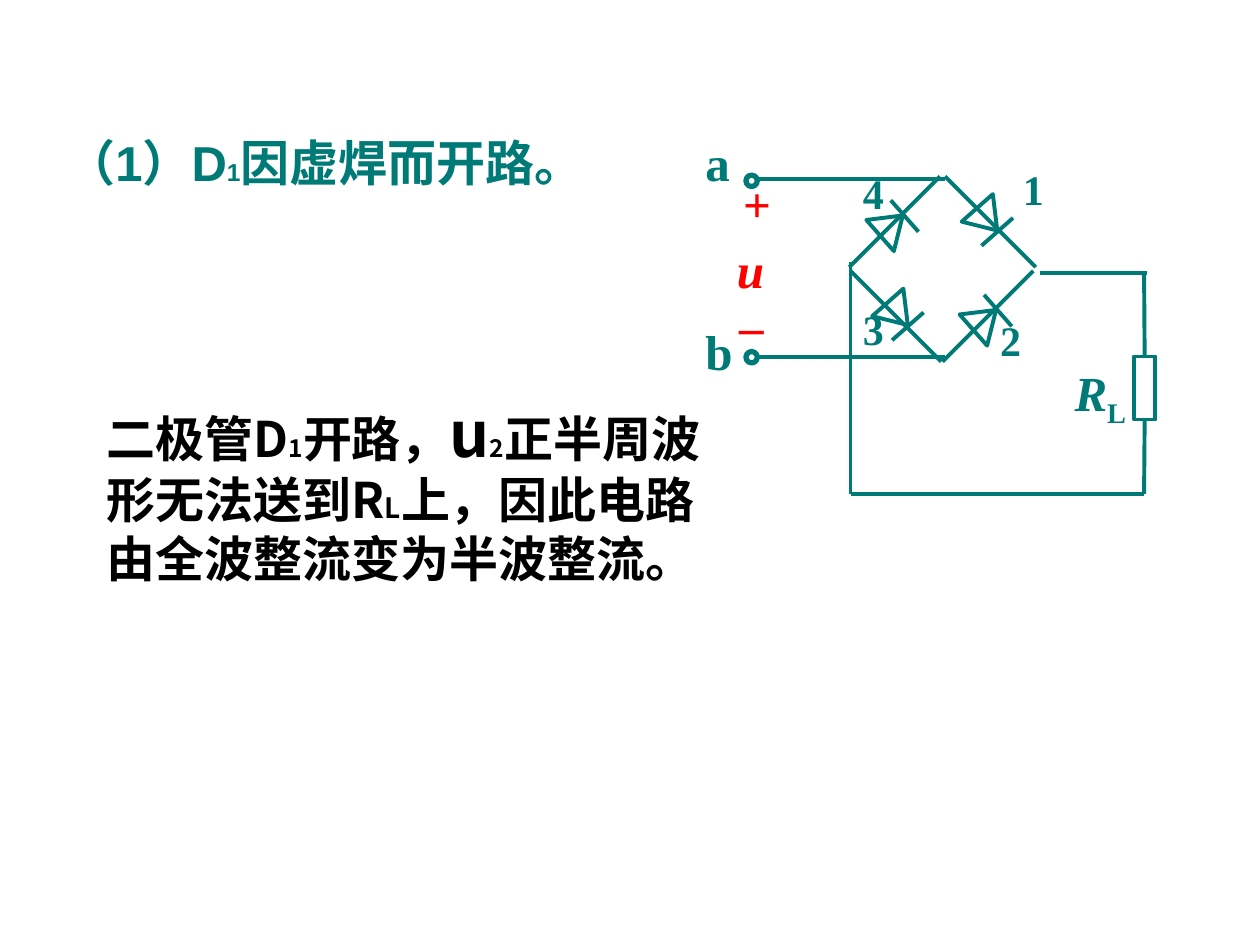
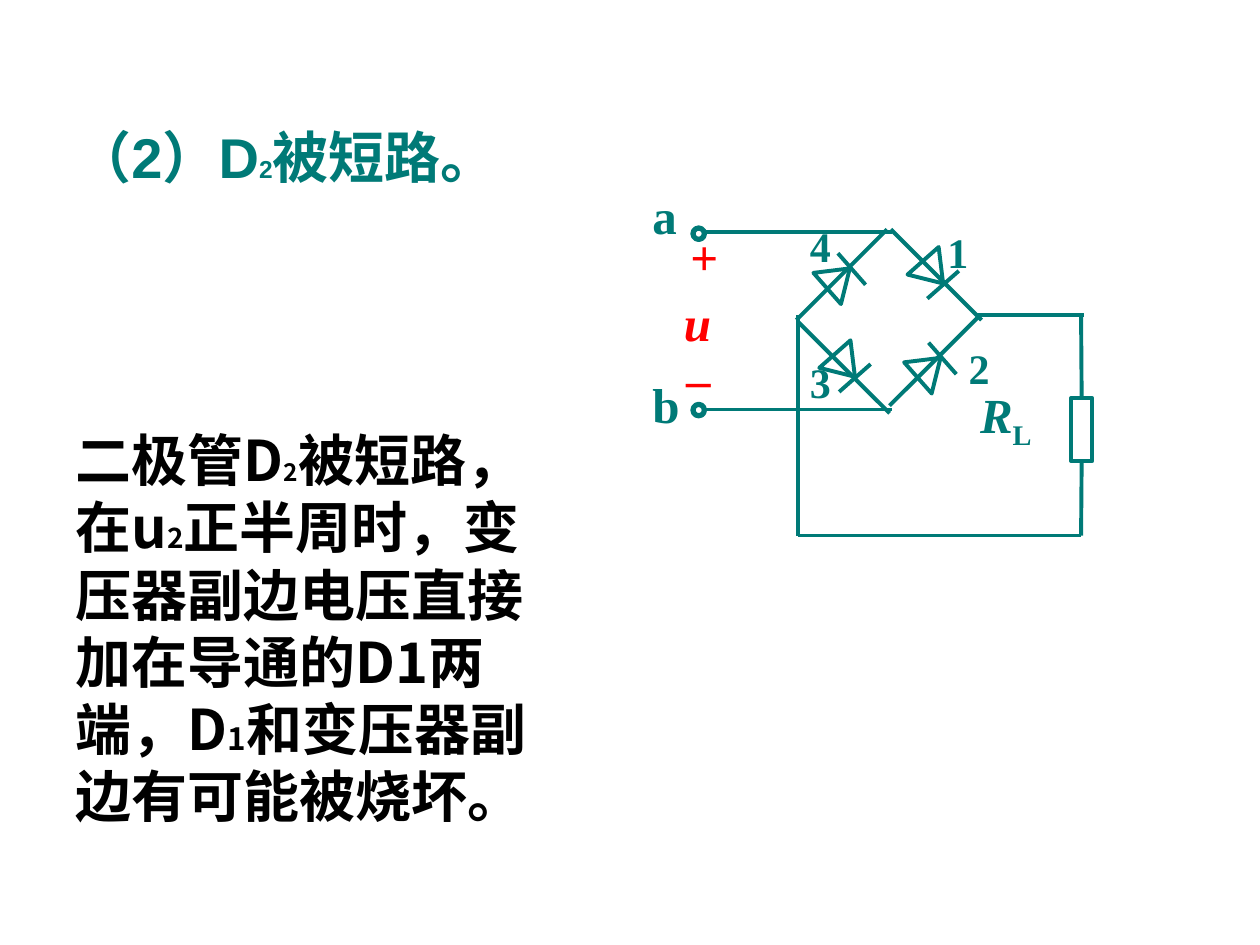
import pptx
import pptx.dml.color
import pptx.enum.shapes
import pptx.enum.text
import pptx.oxml.ns
import pptx.util
from lxml import etree

Inches = pptx.util.Inches
Pt = pptx.util.Pt
SHAPE = pptx.enum.shapes.MSO_SHAPE

TEAL = pptx.dml.color.RGBColor(0x00, 0x7A, 0x77)
RED = pptx.dml.color.RGBColor(0xFF, 0x00, 0x00)
BLACK = pptx.dml.color.RGBColor(0x00, 0x00, 0x00)
CJK_FONT = "Noto Sans CJK SC"
TITLE = {"name": "Arial", "color": TEAL}
BODY = {"name": CJK_FONT, "color": BLACK}
LABEL = {"name": "Times New Roman", "color": TEAL}

# Diode parts, measured from the start of the diagonal wire they sit on
DIODES = {
    "falling": {"end": (0.72, 0.72), "bar": ((0.54, 0.33), (0.29, 0.55)),
                "triangle": (0.17, 0.22), "angle": 138.5},
    "rising": {"end": (0.72, -0.72), "bar": ((0.33, -0.53), (0.55, -0.28)),
               "triangle": (0.17, -0.45), "angle": 48.5},
}

# Places inside a circuit are measured from its terminal a
CIRCUIT_LABELS = [
    ("a", -0.5, -0.42, 0.39, 28, TEAL, False),
    ("b", -0.5, 1.08, 0.41, 28, TEAL, False),
    ("u", -0.25, 0.43, 0.41, 28, RED, True),
    ("+", -0.2, -0.09, 0.42, 28, RED, False),
    (" –", -0.33, 0.88, 0.49, 28, RED, False),
    ("3", 0.75, 0.94, 0.36, 24, TEAL, False),
    ("4", 0.75, -0.14, 0.36, 24, TEAL, False),
]

SLIDES = [
    {
        "title": ((0.43, 1, 4.62, 0.57), False,
                  [("（1）D", 28), ("1", 14), ("因虚焊而开路。", 28)]),
        "body": ((0.75, 3.08, 5.17, 1.64), True,
                 [("二极管D", 28), ("1", 14), ("开路，", 28), ("u", 36), ("2", 14),
                  ("正半周波形无法送到R", 28), ("L", 16),
                  ("上，因此电路由全波整流变为半波整流。", 28)]),
        "terminal": (6, 1.42),
        "load": (3.08, 0.75),
        "load_label": (2.43, 1.41),
        "diode_labels": [("1", 2.02, -0.17), ("2", 1.84, 1.03)],
        "diodes": [("falling", 1.5, -0.02, 0, 0), ("rising", 1.48, 1.45, 0, 0),
                   ("falling", 0.75, 0.73, 0.04, 0), ("rising", 0.74, 0.7, 0, 0)],
    },
    {
        "title": ((0.5, 0.92, 4, 0.64), True,
                  [("（2）D", 32), ("2", 14), ("被短路。", 32)]),
        "body": ((0.5, 3.33, 4, 3.3), True,
                 [("二极管D", 32), ("2", 14), ("被短路，在u", 32), ("2", 16),
                  ("正半周时，变压器副边电压直接加在导通的D1两端，D", 32), ("1", 18),
                  ("和变压器副边有可能被烧坏。", 32)]),
        "terminal": (5.58, 1.84),
        "load": (3, 0.66),
        "load_label": (2.1, 1.16),
        "diode_labels": [("1", 1.84, -0.09), ("2", 2.01, 0.83)],
        "diodes": [("falling", 1.49, -0.02, 0, 0), ("rising", 1.48, 1.38, -0.02, 0.03),
                   ("falling", 0.76, 0.72, 0.03, 0), ("rising", 0.74, 0.7, 0, 0)],
    },
]


def add_text(slide, box, runs, wrap=False):
    """Add a bold one-paragraph text box; runs are (text, formats) pairs."""
    frame = slide.shapes.add_textbox(*map(Inches, box)).text_frame
    frame.word_wrap = wrap
    frame.auto_size = pptx.enum.text.MSO_AUTO_SIZE.SHAPE_TO_FIT_TEXT
    paragraph = frame.paragraphs[0]
    paragraph._element.get_or_add_pPr().set("hangingPunct", "0")
    for text, formats in runs:
        run = paragraph.add_run()
        run.text = text
        run.font.bold = True
        for key, value in formats.items():
            if key == "color":
                run.font.color.rgb = value
            elif key == "baseline":
                run.font._element.set("baseline", value)
            else:
                setattr(run.font, key, value)
        east_asian = etree.SubElement(run.font._element, pptx.oxml.ns.qn("a:ea"))
        east_asian.set("typeface", CJK_FONT)


def add_wire(slide, start, end, width=2.25):
    wire = slide.shapes.add_connector(
        pptx.enum.shapes.MSO_CONNECTOR.STRAIGHT, *map(Inches, (*start, *end)))
    wire.line.color.rgb = TEAL
    wire.line.width = Pt(width)
    etree.SubElement(wire._element.spPr, pptx.oxml.ns.qn("a:effectLst"))
    return wire


presentation = pptx.Presentation()
presentation.slide_width = Inches(10)
presentation.slide_height = Inches(7.5)

for content in SLIDES:
    slide = presentation.slides.add_slide(presentation.slide_layouts[6])
    for part, style in (("title", TITLE), ("body", BODY)):
        box, wrap, pieces = content[part]
        runs = [(text, {**style, "size": Pt(size)}) for text, size in pieces]
        add_text(slide, box, runs, wrap)

    left, top = content["terminal"]
    outlines = []

    for kind, x, y, slip_x, slip_y in content["diodes"]:
        diode = DIODES[kind]
        x, y = left + x, top + y
        add_wire(slide, (x, y), (x + diode["end"][0], y + diode["end"][1]))
        x, y = x + slip_x, y + slip_y
        add_wire(slide, *[(x + dx, y + dy) for dx, dy in diode["bar"]])
        dx, dy = diode["triangle"]
        triangle = slide.shapes.add_shape(
            SHAPE.ISOSCELES_TRIANGLE, *map(Inches, (x + dx, y + dy, 0.33, 0.24)))
        triangle.rotation = diode["angle"]
        outlines.append((triangle, 2.25))

    load_x, load_y = left + content["load"][0], top + content["load"][1]
    bottom = load_y + 1.75
    bridge_left = left + 0.75
    add_wire(slide, (left + 1.4, top), (left + 1.48, top), 0.75)
    for start, end in [
        ((left, top), (left + 1.5, top)),
        ((left, top + 1.41), (left + 1.5, top + 1.41)),
        ((bridge_left, top + 0.66), (bridge_left, bottom)),
        ((bridge_left, bottom), (load_x, bottom)),
        ((load_x - 0.83, load_y), (load_x + 0.02, load_y)),
    ]:
        add_wire(slide, start, end)

    resistor = slide.shapes.add_shape(
        SHAPE.RECTANGLE, *map(Inches, (load_x - 0.08, load_y + 0.66, 0.17, 0.5)))
    outlines.append((resistor, 2.25))
    add_wire(slide, (load_x, load_y), (load_x, load_y + 0.66)).end_connect(resistor, 0)
    add_wire(slide, (load_x, load_y + 1.16), (load_x, bottom)).begin_connect(resistor, 2)

    labels = CIRCUIT_LABELS + [
        (text, x, y, 0.36, 24, TEAL, False) for text, x, y in content["diode_labels"]]
    for text, x, y, width, size, color, italic in labels:
        formats = {**LABEL, "color": color, "size": Pt(size), "italic": italic}
        add_text(slide, (left + x, top + y, width, 0.57 if size == 28 else 0.5),
                 [(text, formats)])
    x, y = content["load_label"]
    formats = {**LABEL, "size": Pt(28)}
    add_text(slide, (left + x, top + y, 0.61, 0.63),
             [("R", {**formats, "italic": True}), ("L", {**formats, "baseline": "-25000"})])

    for y in (-0.03, 1.37):
        terminal = slide.shapes.add_shape(
            SHAPE.OVAL, *map(Inches, (left - 0.08, top + y, 0.09, 0.09)))
        outlines.append((terminal, 3))

    for shape, width in outlines:
        shape.shadow.inherit = False
        shape.fill.background()
        shape.line.color.rgb = TEAL
        shape.line.width = Pt(width)

presentation.save("out.pptx")
